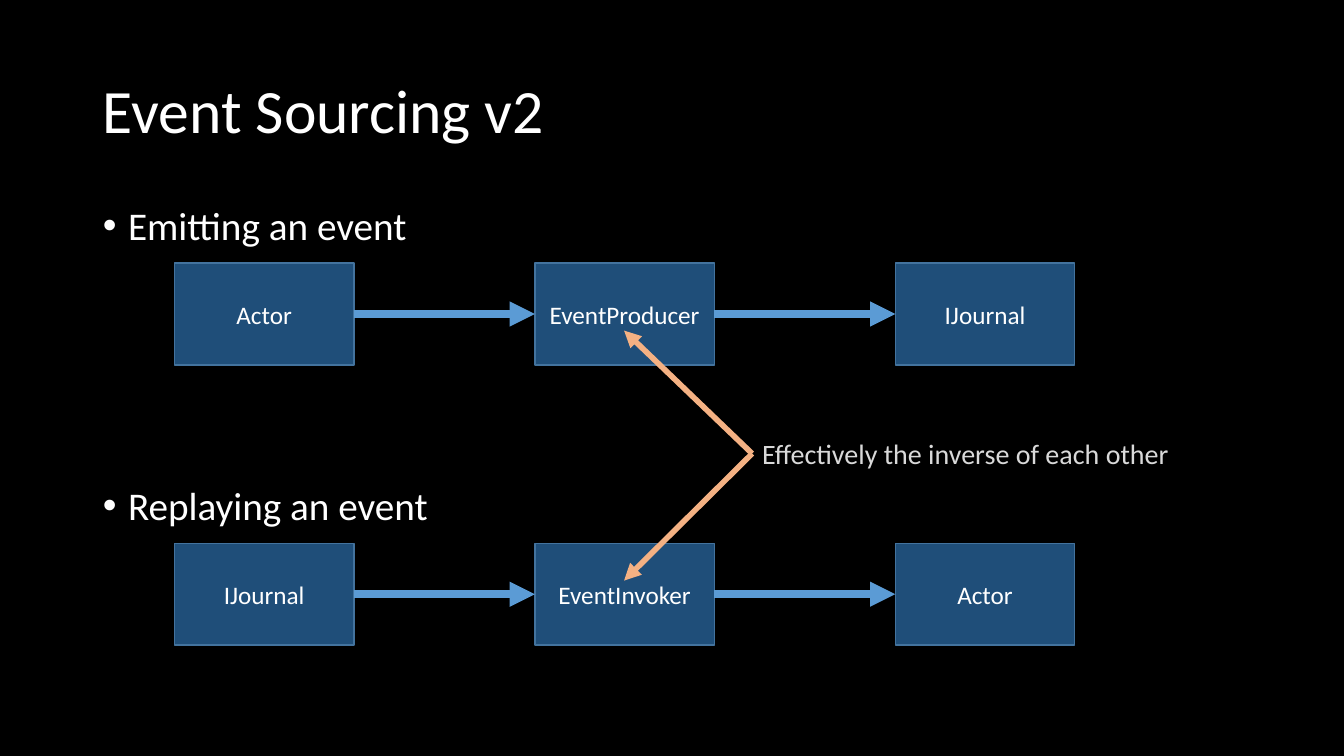
import pptx
import pptx.util
import pptx.dml.color
import pptx.enum.shapes
import pptx.enum.text
import pptx.oxml
import pptx.oxml.ns

Inches, Pt = pptx.util.Inches, pptx.util.Pt
ALIGN = pptx.enum.text.PP_ALIGN
ANCHOR = pptx.enum.text.MSO_ANCHOR
AUTO = pptx.enum.text.MSO_AUTO_SIZE
SHAPE = pptx.enum.shapes.MSO_SHAPE
CONNECTOR = pptx.enum.shapes.MSO_CONNECTOR
COLORS = {"background": "000000", "text": "FFFFFF", "note": "D9D9D9",
          "box": "1F4E79", "border": "43739E", "flow": "5B9BD5", "inverse": "F4B183"}
rgb = {name: pptx.dml.color.RGBColor.from_string(c) for name, c in COLORS.items()}
NS = pptx.oxml.ns.nsdecls("a")


def add_text(p, text, size, color="text"):
    r = p.add_run()
    r.text = text
    r.font.name = "Calibri"
    r.font.size = Pt(size)
    r.font.color.rgb = rgb[color]


def add_arrow(x1, y1, x2, y2, color, width):
    cxn = s.shapes.add_connector(CONNECTOR.STRAIGHT, Inches(x1), Inches(y1),
                                 Inches(x2), Inches(y2))
    cxn.line.color.rgb = rgb[color]
    cxn.line.width = Pt(width)
    cxn.line._get_or_add_ln().append(
        pptx.oxml.parse_xml(f'<a:tailEnd {NS} type="triangle"/>'))
    cxn._element.spPr.append(pptx.oxml.parse_xml(f"<a:effectLst {NS}/>"))
    return cxn


prs = pptx.Presentation()
prs.slide_width, prs.slide_height = Inches(13.33), Inches(7.5)
s = prs.slides.add_slide(prs.slide_layouts[1])
s.background.fill.solid()
s.background.fill.fore_color.rgb = rgb["background"]

# Title
title = s.shapes.title
title.left, title.top, title.width, title.height = map(Inches, (0.92, 0.4, 11.5, 1.45))
tf = title.text_frame
tf.auto_size = AUTO.NONE
tf.vertical_anchor = ANCHOR.MIDDLE
p = tf.paragraphs[0]
p.alignment = ALIGN.LEFT
p.line_spacing = 0.9
add_text(p, "Event Sourcing v2", 44)

# Bulleted headings, spaced to leave room for the flows
body = s.placeholders[1]
body.left, body.top, body.width, body.height = map(Inches, (0.92, 2, 11.5, 4.76))
tf = body.text_frame
tf.auto_size = AUTO.NONE
for i, (heading, space) in enumerate([("Emitting an event", 0), ("Replaying an event", 169.5)]):
    p = tf.paragraphs[0] if i == 0 else tf.add_paragraph()
    pPr = p._p.get_or_add_pPr()
    pPr.set("marL", str(Inches(0.25)))
    pPr.set("indent", str(Inches(-0.25)))
    pPr.append(pptx.oxml.parse_xml(f'<a:buFont {NS} typeface="Arial"/>'))
    pPr.append(pptx.oxml.parse_xml(f'<a:buChar {NS} char="•"/>'))
    p.line_spacing = 0.9
    p.space_before = Pt(space)
    add_text(p, heading, 28)

# Two flows of three boxes
box_left, box_step, box_w, box_h = 1.73, 3.575, 1.78, 1.01
flows = [(2.61, ["Actor", "EventProducer", "IJournal"]),
         (5.39, ["IJournal", "EventInvoker", "Actor"])]
for top, names in flows:
    previous = None
    for col, name in enumerate(names):
        left = box_left + col * box_step
        sp = s.shapes.add_shape(SHAPE.RECTANGLE, Inches(left), Inches(top),
                                Inches(box_w), Inches(box_h))
        sp.shadow.inherit = False
        sp.fill.solid()
        sp.fill.fore_color.rgb = rgb["box"]
        sp.line.color.rgb = rgb["border"]
        sp.line.width = Pt(1)
        tf = sp.text_frame
        tf.vertical_anchor = ANCHOR.MIDDLE
        p = tf.paragraphs[0]
        p.alignment = ALIGN.CENTER
        add_text(p, name, 18)
        if previous is not None:
            mid = top + box_h / 2
            cxn = add_arrow(left - box_step + box_w, mid, left, mid, "flow", 6)
            cxn.begin_connect(previous, 3)
            cxn.end_connect(sp, 1)
        previous = sp

# Note with an arrow to each middle box
note = s.shapes.add_textbox(Inches(7.46), Inches(4.28), Inches(4.68), Inches(0.44))
tf = note.text_frame
tf.word_wrap = True
tf.auto_size = AUTO.SHAPE_TO_FIT_TEXT
add_text(tf.paragraphs[0], "Effectively the inverse of each other", 20, "note")
for y in (3.28, 5.76):
    cxn = add_arrow(7.46, 4.5, 6.19, y, "inverse", 4)
    cxn.begin_connect(note, 1)

prs.save("out.pptx")
